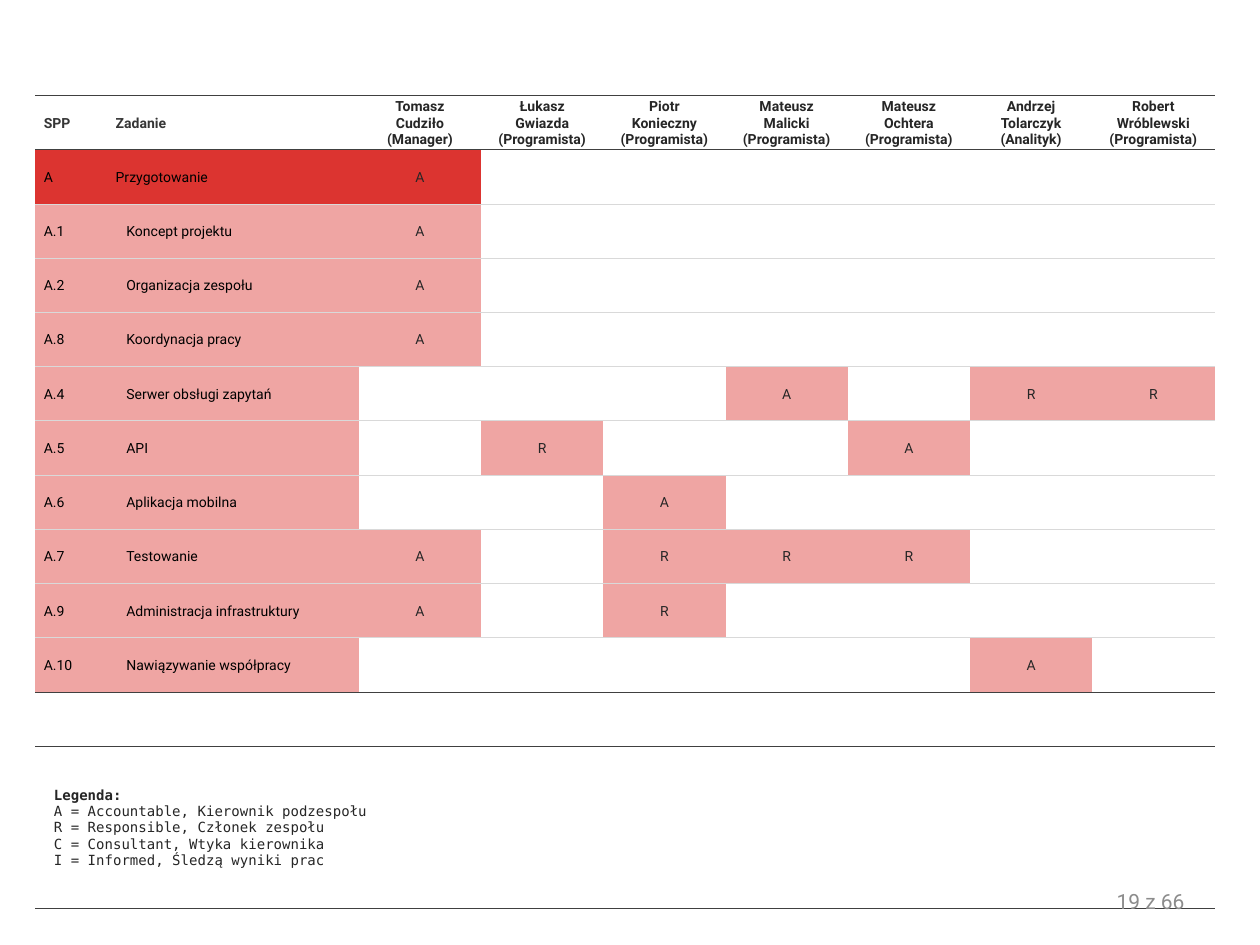
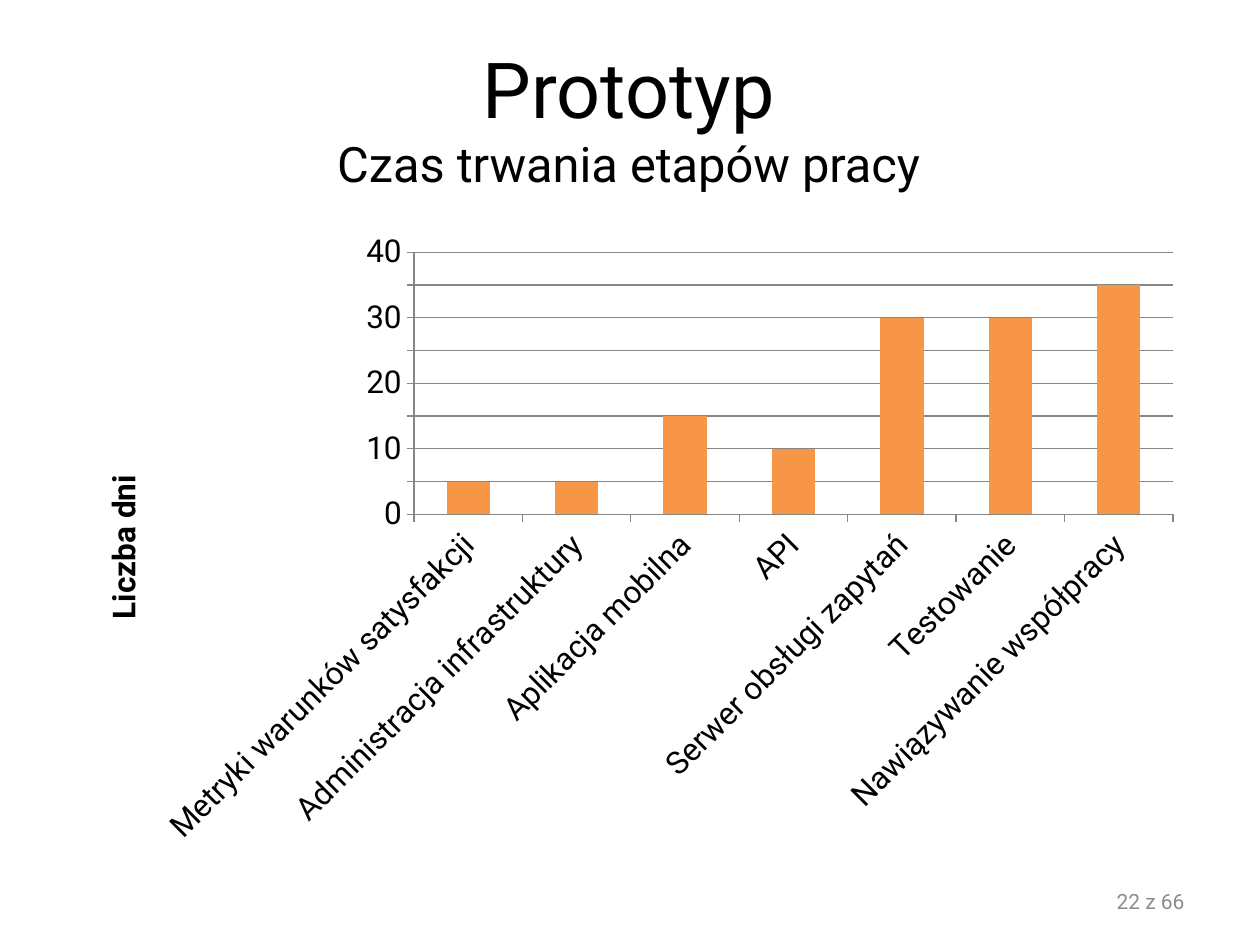
from dataclasses import dataclass
from pptx import Presentation, oxml, util as u
from pptx.chart import data as chart_data
from pptx.dml import color
from pptx.enum import chart as charts, text
from pptx.oxml import ns

ROLES = [
    ("Tomasz", "Cudziło", "(Manager)"),
    ("Łukasz", "Gwiazda", "(Programista)"),
    ("Piotr", "Konieczny", "(Programista)"),
    ("Mateusz", "Malicki", "(Programista)"),
    ("Mateusz", "Ochtera", "(Programista)"),
    ("Andrzej", "Tolarczyk", "(Analityk)"),
    ("Robert", "Wróblewski", "(Programista)"),
]
TASKS = [
    ("A", "Przygotowanie", {0: "A"}),
    ("A.1", "Koncept projektu", {0: "A"}),
    ("A.2", "Organizacja zespołu", {0: "A"}),
    ("A.8", "Koordynacja pracy", {0: "A"}),
    ("A.4", "Serwer obsługi zapytań", {3: "A", 5: "R", 6: "R"}),
    ("A.5", "API", {1: "R", 4: "A"}),
    ("A.6", "Aplikacja mobilna", {2: "A"}),
    ("A.7", "Testowanie", {0: "A", 2: "R", 3: "R", 4: "R"}),
    ("A.9", "Administracja infrastruktury", {0: "A", 2: "R"}),
    ("A.10", "Nawiązywanie współpracy", {5: "A"}),
]
LEGEND = [
    "Legenda:",
    "A = Accountable, Kierownik podzespołu",
    "R = Responsible, Członek zespołu",
    "C = Consultant, Wtyka kierownika",
    "I = Informed, Śledzą wyniki prac",
]
TITLE = ("Prototyp", "Czas trwania etapów pracy")
AXIS_TITLE = "Liczba dni"
STAGES = {
    "Metryki warunków satysfakcji": 5,
    "Administracja infrastruktury": 5,
    "Aplikacja mobilna": 15,
    "API": 10,
    "Serwer obsługi zapytań": 30,
    "Testowanie": 30,
    "Nawiązywanie współpracy": 35,
}
PAGE_NUMBERS = ("19 z 66", "22 z 66")


@dataclass(frozen=True)
class Theme:
    font: str = "Roboto"
    mono: str = "DejaVu Sans Mono"
    black: str = "000000"
    ink: str = "262626"
    header: str = "363636"
    muted: str = "8C8C8C"
    strong: str = "DC3430"
    soft: str = "EFA5A3"
    rule: str = "404040"
    hairline: str = "D9D9D9"
    bar: str = "F79646"
    grid: str = "868686"
    cell_size: float = 8
    number_size: float = 12
    chart_size: float = 18
    title_size: float = 44.1
    subtitle_size: float = 27.9


THEME = Theme()
CENTER, RIGHT = text.PP_ALIGN.CENTER, text.PP_ALIGN.RIGHT
ROW_HEIGHT, LEGEND_HEIGHT = 31, 93
TABLE_LEFT, TABLE_TOP = 20, 54.6
COLUMN_WIDTHS = [45.4, 139.7] + [69.85] * len(ROLES)
NO_STYLE = "{2D5ABB26-0587-4C30-8999-92F81FD0307C}"


def apply(target, values):
    for name, value in values.items():
        setattr(target, name, value)


def rgb(value):
    return color.RGBColor.from_string(value)


def style_font(font, size, tint, bold=False, name=THEME.font):
    apply(font, {"name": name, "size": u.Pt(size), "bold": bold})
    font.color.rgb = rgb(tint)


def write(frame, lines, align=None):
    for index, (words, style) in enumerate(lines):
        para = frame.paragraphs[0] if index == 0 else frame.add_paragraph()
        para.alignment = align
        span = para.add_run()
        span.text = words
        style_font(span.font, **style)


def add_text(page, area, lines, align):
    box = page.shapes.add_textbox(*map(u.Pt, area))
    apply(box.text_frame, {"word_wrap": True, "vertical_anchor": text.MSO_ANCHOR.MIDDLE})
    write(box.text_frame, lines, align)


def add_page_number(page, number):
    style = {"size": THEME.number_size, "tint": THEME.muted}
    add_text(page, (516.2, 500.4, 167.8, 28.8), [(number, style)], RIGHT)


def set_borders(cell, top, bottom):
    properties = cell._tc.get_or_add_tcPr()
    for index, (side, tint) in enumerate((("T", top), ("B", bottom))):
        properties.insert(index, oxml.parse_xml(
            f'<a:ln{side} {ns.nsdecls("a")} w="{u.Pt(0.5)}"><a:solidFill>'
            f'<a:srgbClr val="{tint}"/></a:solidFill></a:ln{side}>'))


def fill_cell(cell, lines=(), align=None, fill=None, left=0.72):
    apply(cell, {
        "margin_left": u.Pt(left), "margin_right": u.Pt(0.72),
        "margin_top": u.Pt(0.72), "margin_bottom": 0,
        "vertical_anchor": text.MSO_ANCHOR.MIDDLE,
    })
    if fill:
        cell.fill.solid()
        cell.fill.fore_color.rgb = rgb(fill)
    else:
        cell.fill.background()
    if lines:
        write(cell.text_frame, lines, align)
    else:
        cell.text_frame.paragraphs[0].font.size = u.Pt(THEME.cell_size)


def look(tint, **extra):
    return {"size": THEME.cell_size, "tint": tint, **extra}


def add_matrix(page):
    row_heights = [ROW_HEIGHT] * (len(TASKS) + 2) + [LEGEND_HEIGHT]
    area = (TABLE_LEFT, TABLE_TOP, sum(COLUMN_WIDTHS), sum(row_heights))
    table = page.shapes.add_table(
        len(row_heights), len(COLUMN_WIDTHS), *map(u.Pt, area)).table
    apply(table, {"first_row": False, "horz_banding": False})
    table._tbl.tblPr.find(ns.qn("a:tableStyleId")).text = NO_STYLE
    for column, width in zip(table.columns, COLUMN_WIDTHS):
        column.width = u.Pt(width)
    for row, height in zip(table.rows, row_heights):
        row.height = u.Pt(height)

    heading = look(THEME.header, bold=True)
    fill_cell(table.cell(0, 0), [("SPP", heading)], left=5)
    fill_cell(table.cell(0, 1), [("Zadanie", heading)])
    for column, role in enumerate(ROLES, 2):
        lines = [(line, look(THEME.ink, bold=True)) for line in role]
        fill_cell(table.cell(0, column), lines, CENTER)

    for row, (code, task, duties) in enumerate(TASKS, 1):
        fill, indent = (THEME.strong, 0.72) if row == 1 else (THEME.soft, 6.8)
        fill_cell(table.cell(row, 0), [(code, look(THEME.black))], fill=fill, left=5)
        fill_cell(table.cell(row, 1), [(task, look(THEME.black))], fill=fill, left=indent)
        for person in range(len(ROLES)):
            cell = table.cell(row, person + 2)
            if person in duties:
                fill_cell(cell, [(duties[person], look(THEME.ink))], CENTER, fill)
            else:
                fill_cell(cell)

    last = len(row_heights) - 1
    for cell in table.rows[last - 1].cells:
        fill_cell(cell)
    table.cell(last, 0).merge(table.cell(last, len(COLUMN_WIDTHS) - 1))
    fill_cell(table.cell(last, 0), [
        (line, look(THEME.ink, bold=index == 0, name=THEME.mono))
        for index, line in enumerate(LEGEND)], left=10.8)

    edges = [THEME.rule] * 2 + [THEME.hairline] * (len(TASKS) - 1) + [THEME.rule] * 3
    for index, row in enumerate(table.rows):
        for cell in row.cells:
            set_borders(cell, edges[index], edges[index + 1])


def place(element, **fractions):
    layout = element.find(ns.qn("c:layout"))
    if layout is not None:
        element.remove(layout)
    modes = {"xMode": "edge", "yMode": "edge"}
    if "w" in fractions:
        modes = {"layoutTarget": "inner", **modes}
    parts = "".join(f'<c:{key} val="{value}"/>' for key, value in {**modes, **fractions}.items())
    fresh = oxml.parse_xml(
        f'<c:layout {ns.nsdecls("c")}><c:manualLayout>{parts}</c:manualLayout></c:layout>')
    words = element.find(ns.qn("c:tx"))
    element.insert(0 if words is None else 1, fresh)


def add_duration_chart(page):
    data = chart_data.CategoryChartData()
    data.categories = list(STAGES)
    data.add_series("Series 1", list(STAGES.values()))
    chart = page.shapes.add_chart(
        charts.XL_CHART_TYPE.COLUMN_CLUSTERED,
        *map(u.Pt, (36, 126, 647.3, 365)), data).chart
    apply(chart, {"has_legend": False, "has_title": False})
    style_font(chart.font, THEME.chart_size, THEME.black)

    plot = chart.plots[0]
    apply(plot, {"gap_width": 150, "vary_by_categories": False})
    bars = plot.series[0].format.fill
    bars.solid()
    bars.fore_color.rgb = rgb(THEME.bar)

    days, stages = chart.value_axis, chart.category_axis
    apply(days, {"minimum_scale": 0, "maximum_scale": 40, "major_unit": 5,
                 "has_major_gridlines": True})
    for axis in (days, stages):
        axis.major_tick_mark = charts.XL_TICK_MARK.OUTSIDE
        style_font(axis.tick_labels.font, THEME.chart_size, THEME.black)
    for part in (days, stages, days.major_gridlines):
        part.format.line.width = u.Pt(0.75)
        part.format.line.color.rgb = rgb(THEME.grid)
    labels = stages._element.find(ns.qn("c:txPr"))
    labels.find(ns.qn("a:bodyPr")).set("rot", "-2700000")

    caption = days.axis_title
    write(caption.text_frame, [
        (AXIS_TITLE, {"size": THEME.chart_size, "tint": THEME.black, "bold": True})])
    caption.text_frame._txBody.find(ns.qn("a:bodyPr")).set("rot", "-5400000")
    place(caption._element, x=0.03, y=0.39)
    place(chart._chartSpace.chart.plotArea, x=0.31, y=0.05, w=0.67, h=0.41)


def main():
    deck = Presentation()
    apply(deck, {"slide_width": u.Pt(720), "slide_height": u.Pt(540)})
    pages = [deck.slides.add_slide(deck.slide_layouts[6]) for _ in PAGE_NUMBERS]
    add_matrix(pages[0])
    sizes = (THEME.title_size, THEME.subtitle_size)
    add_text(pages[1], (35.3, 21.6, 648, 90), [
        (line, {"size": size, "tint": THEME.black}) for line, size in zip(TITLE, sizes)], CENTER)
    add_duration_chart(pages[1])
    for page, number in zip(pages, PAGE_NUMBERS):
        add_page_number(page, number)
    deck.save("out.pptx")


if __name__ == "__main__":
    main()
